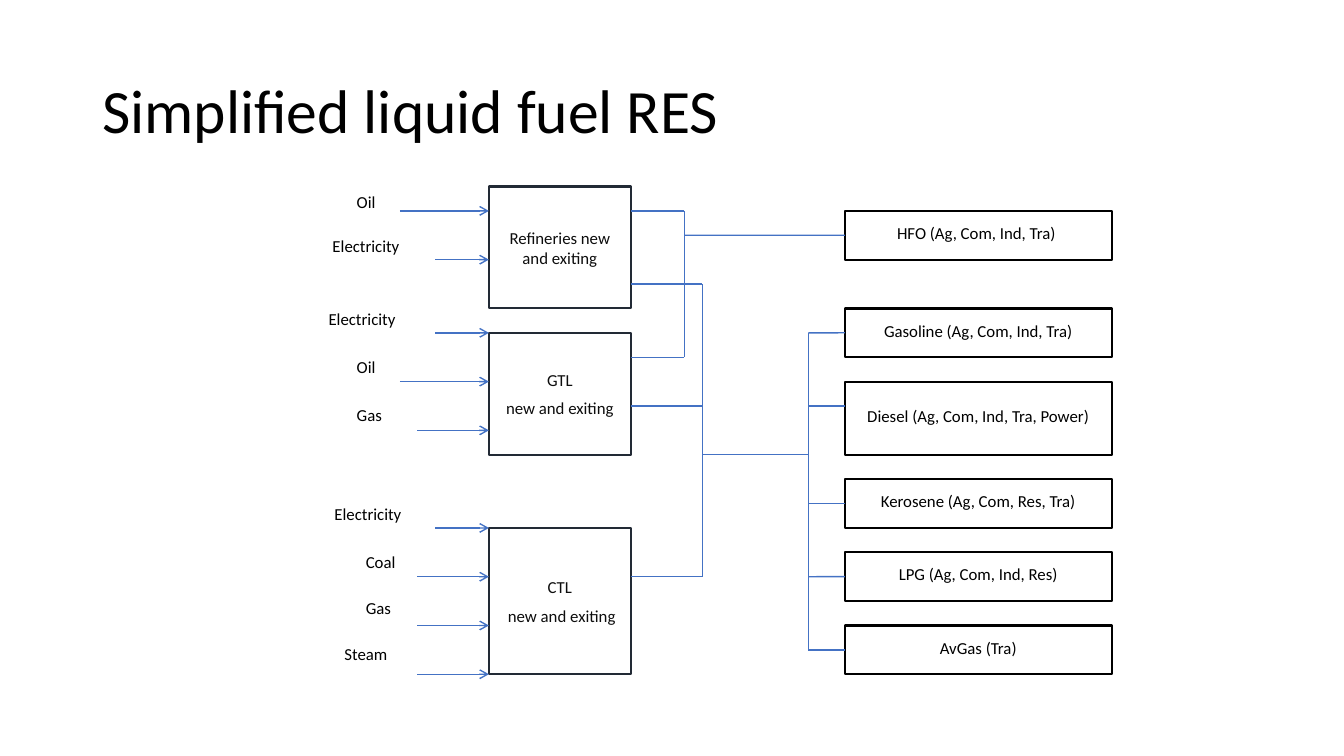
from dataclasses import dataclass

from lxml.etree import SubElement
from pptx import Presentation
from pptx.dml.color import RGBColor
from pptx.enum.shapes import MSO_CONNECTOR, MSO_SHAPE
from pptx.enum.text import MSO_ANCHOR, PP_ALIGN
from pptx.oxml.ns import qn
from pptx.util import Cm, Pt


@dataclass(frozen=True)
class Theme:
    font: str = "Calibri"
    black: str = "000000"
    ink: str = "0D0D0D"
    frame: str = "222A35"
    link: str = "4472C4"
    head: int = 44
    body: int = 12


# Columns in cm, and the even row grid that all parts sit on
PLANT, PLANT_END = 12.32, 15.9
HEAVY, LIGHT, SPLIT = 17.25, 17.7, 20.37
FUEL, FUEL_END = 21.29, 28.02
TOP, STEP = 4.7, 12.29 / 20

# Text margins in cm: left, top, right, bottom
WIDE = (0.25, 0.13, 0.25, 0.13)
SLIM = (0.1, 0, 0.1, 0.13)
BARE = (0, 0, 0, 0.13)


def row(n):
    return TOP + n * STEP


class Board:
    def __init__(self, slide, theme):
        self.slide = slide
        self.theme = theme

    def style(self, shape, text, size, color, align, pads, gap=6):
        frame = shape.text_frame
        frame.text = text
        frame.word_wrap = True
        (frame.margin_left, frame.margin_top,
         frame.margin_right, frame.margin_bottom) = map(Cm, pads)
        for par in frame.paragraphs:
            par.alignment = align
            par.space_before = Pt(gap)
            for run in par.runs:
                run.font.name = self.theme.font
                run.font.size = Pt(size)
                run.font.color.rgb = RGBColor.from_string(color)
        return frame

    def title(self, text):
        box = self.slide.shapes.add_textbox(Cm(2.33), Cm(1.01), Cm(29.21), Cm(3.68))
        frame = self.style(box, text, self.theme.head, self.theme.black,
                           PP_ALIGN.LEFT, WIDE, 0)
        frame.vertical_anchor = MSO_ANCHOR.MIDDLE
        frame.paragraphs[0].line_spacing = 0.9

    def label(self, text, left, top, wide, pads):
        box = self.slide.shapes.add_textbox(Cm(left), Cm(row(top)), Cm(wide), Cm(2 * STEP))
        self.style(box, text, self.theme.body, self.theme.black, PP_ALIGN.JUSTIFY, pads)

    def block(self, text, left, right, first, last, line, color, pads):
        rect = self.slide.shapes.add_shape(
            MSO_SHAPE.RECTANGLE, Cm(left), Cm(row(first)),
            Cm(right - left), Cm((last - first) * STEP))
        rect.shadow.inherit = False
        rect.fill.background()
        rect.line.color.rgb = RGBColor.from_string(line)
        rect.line.width = Pt(1.5)
        frame = self.style(rect, text, self.theme.body, color, PP_ALIGN.CENTER, pads)
        frame.vertical_anchor = MSO_ANCHOR.MIDDLE
        return rect

    def link(self, x1, r1, x2, r2, arrow=False):
        line = self.slide.shapes.add_connector(
            MSO_CONNECTOR.STRAIGHT, Cm(x1), Cm(row(r1)), Cm(x2), Cm(row(r2)))
        line.line.color.rgb = RGBColor.from_string(self.theme.link)
        line.line.width = Pt(1)
        props = line._element.spPr
        if arrow:
            SubElement(props.find(qn("a:ln")), qn("a:tailEnd"), type="arrow")
        SubElement(props, qn("a:effectLst"))
        return line


def main():
    deck = Presentation()
    deck.slide_width, deck.slide_height = Cm(33.87), Cm(19.05)
    theme = Theme()
    board = Board(deck.slides.add_slide(deck.slide_layouts[6]), theme)
    board.title("Simplified liquid fuel RES")

    # Plants: text, first row, last row
    plants = [
        ("Refineries new and exiting", 0, 5),
        ("GTL\nnew and exiting", 6, 11),
        ("CTL\n new and exiting", 14, 20),
    ]
    for text, first, last in plants:
        board.block(text, PLANT, PLANT_END, first, last, theme.frame, theme.ink, WIDE)

    # Inputs: text, label left, label row, label width, arrow start, arrow row
    short, mid, long = 10.97, 10.52, 10.08
    inputs = [
        ("Oil", 8.74, 0, 1.8, long, 1),
        ("Electricity", 8.38, 2, 2.74, short, 3),
        ("Electricity", 8.28, 5, 2.84, short, 6),
        ("Oil", 8.74, 6.75, 1.8, long, 8),
        ("Gas", 8.74, 8.75, 1.8, mid, 10),
        ("Electricity", 8.43, 13, 2.84, short, 14),
        ("Coal", 8.97, 14.75, 1.8, mid, 16),
        ("Gas", 8.97, 16.65, 1.8, mid, 18),
        ("Steam", 8.43, 18.55, 2.54, mid, 20),
    ]
    for text, left, top, wide, start, level in inputs:
        board.label(text, left, top, wide, BARE if text == "Electricity" else WIDE)
        board.link(start, level, PLANT, level, arrow=True)

    # Collecting lines: plant outlets and the bus they meet
    for bus, levels in ((HEAVY, (1, 7)), (LIGHT, (4, 9, 16))):
        for level in levels:
            board.link(PLANT_END, level, bus, level)
        board.link(bus, levels[0], bus, levels[-1])
    board.link(LIGHT, 11, SPLIT, 11)
    board.link(SPLIT, 6, SPLIT, 19)

    # Fuels: text, first row, last row, feed row, feed start
    fuels = [
        ("HFO (Ag, Com, Ind, Tra) ", 1, 3, 2, HEAVY),
        ("Gasoline (Ag, Com, Ind, Tra)", 5, 7, 6, SPLIT),
        ("Diesel (Ag, Com, Ind, Tra, Power)", 8, 11, 9, SPLIT),
        ("Kerosene (Ag, Com, Res, Tra)", 12, 14, 13, SPLIT),
        ("LPG (Ag, Com, Ind, Res)", 15, 17, 16, SPLIT),
        ("AvGas (Tra)", 18, 20, 19, SPLIT),
    ]
    for text, first, last, level, start in fuels:
        rect = board.block(text, FUEL, FUEL_END, first, last,
                           theme.black, theme.black, SLIM)
        feed = board.link(start, level, FUEL, level)
        if 2 * level == first + last:
            feed.end_connect(rect, 1)

    deck.save("out.pptx")


if __name__ == "__main__":
    main()
